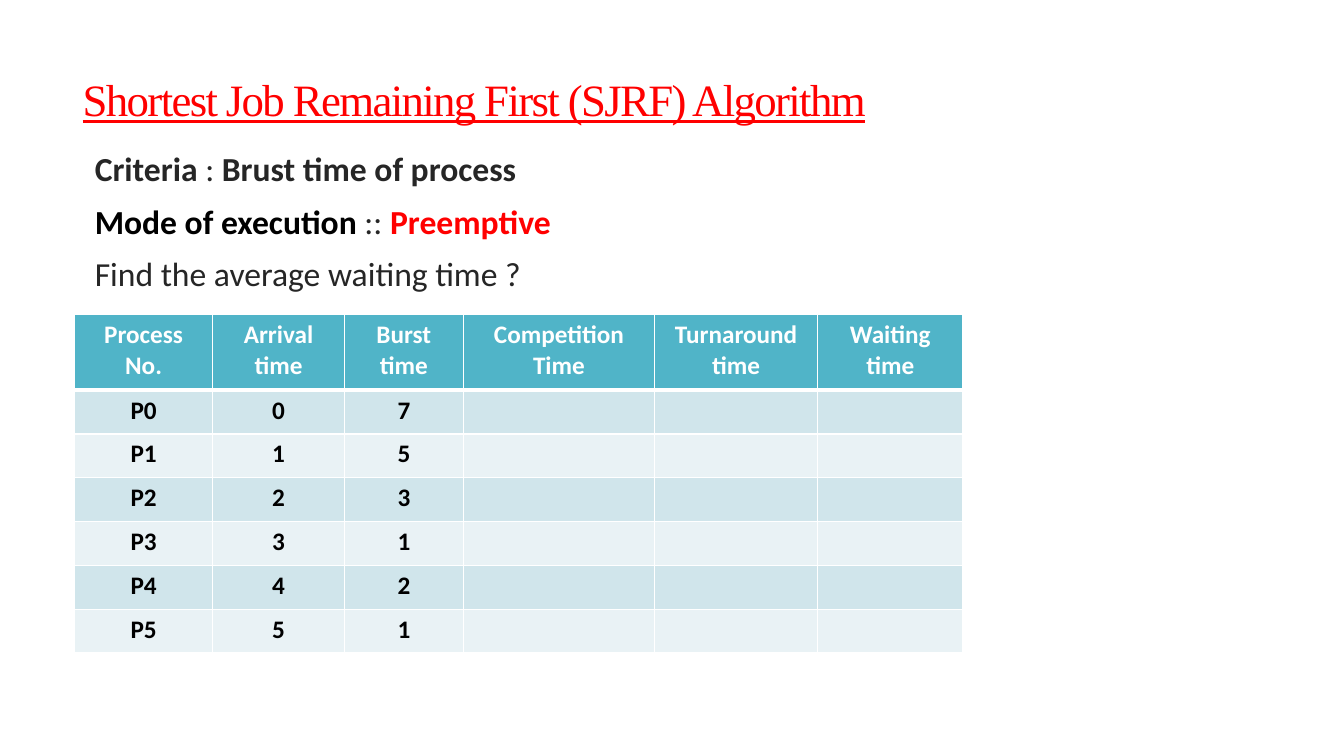
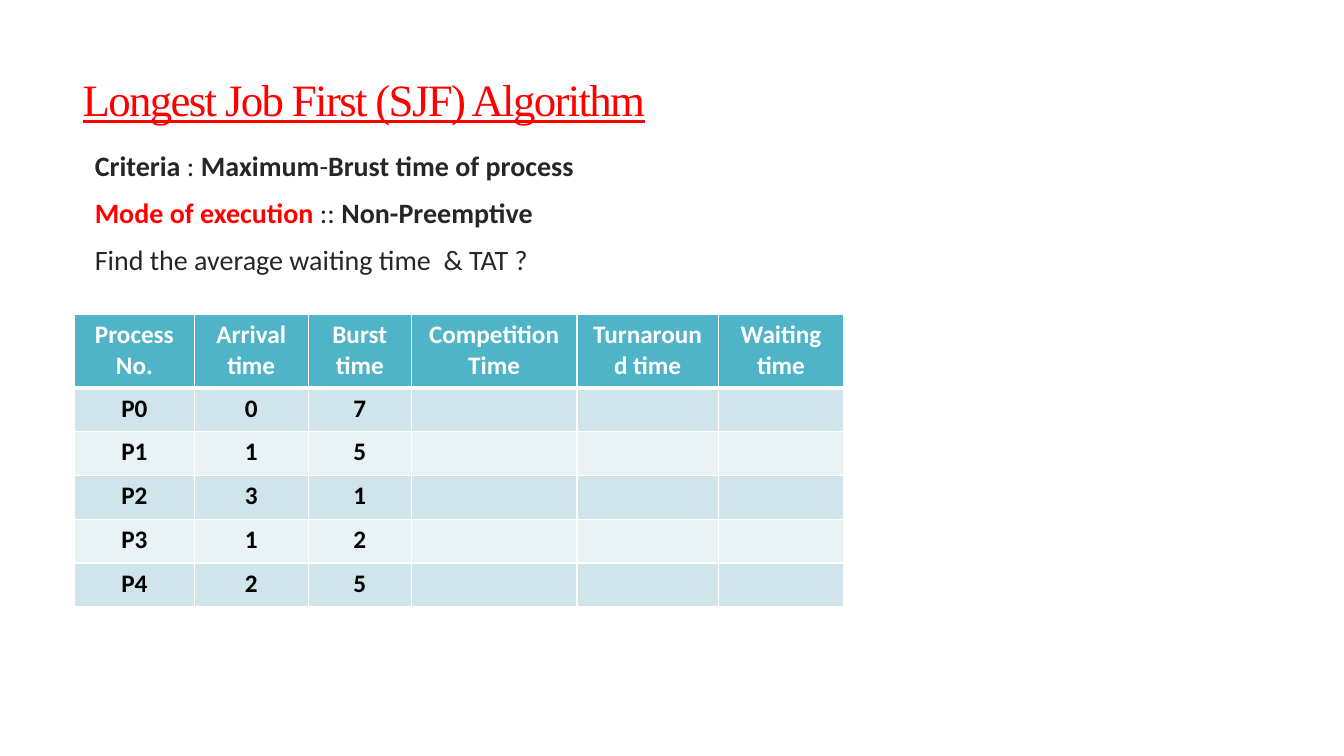
from lxml.etree import SubElement
from pptx import Presentation
from pptx.dml.color import RGBColor
from pptx.enum.text import MSO_ANCHOR, MSO_AUTO_SIZE, PP_ALIGN
from pptx.oxml.ns import qn
from pptx.util import Inches, Pt

COLORS = {
    "red": "FF0000",
    "text": "262626",
    "black": "000000",
    "white": "FFFFFF",
    "header": "50B4C8",
    "band_dark": "D0E5EB",
    "band_light": "E9F2F5",
}
HEADERS = ["Process No.", "Arrival time", "Burst time",
           "Competition Time", "Turnaround time", "Waiting time"]
COLUMN_SHARES = [1.37, 1.31, 1.18, 1.9, 1.62, 1.44]

# Each line of the brief is a list of (wording, bold, color) pieces.
ALGORITHMS = [
    {
        "title": "Shortest Job Remaining First (SJRF) Algorithm",
        "brief_size": 24,
        "brief": [
            [("Criteria", True, "text"), (" : ", False, "text"),
             ("Brust time of process", True, "text")],
            [("Mode of execution ", True, "black"), (":: ", False, "text"),
             ("Preemptive", True, "red")],
            [("Find the average waiting time ?", False, "text")],
        ],
        "table_size": (8.81, 3.36),
        "header_height": 0.75,
        "processes": [("P0", 0, 7), ("P1", 1, 5), ("P2", 2, 3),
                      ("P3", 3, 1), ("P4", 4, 2), ("P5", 5, 1)],
    },
    {
        "title": "Longest Job First (SJF) Algorithm",
        "brief_size": 20,
        "brief": [
            [("Criteria", True, "text"), (" : ", False, "text"),
             ("Maximum", True, "text"), ("-", False, "text"),
             ("Brust time of process", True, "text")],
            [("Mode of execution ", True, "red"), (":: ", False, "text"),
             ("Non-Preemptive", True, "text")],
            [("Find the average waiting time  & TAT ?", False, "text")],
        ],
        "table_size": (7.63, 2.9),
        "header_height": 0.73,
        "processes": [("P0", 0, 7), ("P1", 1, 5), ("P2", 3, 1),
                      ("P3", 1, 2), ("P4", 2, 5)],
    },
]


def format_run(run, size, color, bold=False, font="Calibri"):
    run.font.name = font
    run.font.size = Pt(size)
    run.font.bold = bold
    run.font.color.rgb = RGBColor.from_string(COLORS[color])


def format_cell(cell, row_index):
    """Draw white borders, then fill the cell by its row and format its text."""
    properties = cell._tc.get_or_add_tcPr()
    for side in "LRTB":
        under_header = (row_index, side) in [(0, "B"), (1, "T")]
        border = SubElement(properties, qn(f"a:ln{side}"),
                            w=str(Pt(3 if under_header else 1)))
        border_fill = SubElement(border, qn("a:solidFill"))
        SubElement(border_fill, qn("a:srgbClr"), val=COLORS["white"])

    band = "band_dark" if row_index % 2 else "band_light"
    cell.fill.solid()
    cell.fill.fore_color.rgb = RGBColor.from_string(
        COLORS[band if row_index else "header"])
    paragraph = cell.text_frame.paragraphs[0]
    paragraph.alignment = PP_ALIGN.CENTER
    for run in paragraph.runs:
        format_run(run, 18, "black" if row_index else "white", bold=True)


prs = Presentation()
prs.slide_width = Inches(13.33)
prs.slide_height = Inches(7.5)

for algorithm in ALGORITHMS:
    slide = prs.slides.add_slide(prs.slide_layouts[5])

    title = slide.shapes.title
    title.left, title.top = Inches(0.72), Inches(0.55)
    title.width, title.height = Inches(11.78), Inches(0.94)
    title.text_frame.text = algorithm["title"]
    title.text_frame.auto_size = MSO_AUTO_SIZE.NONE
    title.text_frame.vertical_anchor = MSO_ANCHOR.MIDDLE
    heading = title.text_frame.paragraphs[0]
    heading.alignment = PP_ALIGN.LEFT
    heading.line_spacing = 0.85
    heading_run = heading.runs[0]
    format_run(heading_run, 32, "red", font="Times New Roman")
    heading_run.font.underline = True
    heading_run._r.get_or_add_rPr().set("spc", "-120")

    brief = slide.shapes.add_textbox(
        Inches(0.74), Inches(1.48), Inches(11.76), Inches(5.47)).text_frame
    brief.word_wrap = True
    brief.margin_left = Inches(0.2)
    for line_index, pieces in enumerate(algorithm["brief"]):
        line = brief.add_paragraph() if line_index else brief.paragraphs[0]
        line.line_spacing = 0.85
        line.space_before = Pt(13)
        for wording, bold, color in pieces:
            run = line.add_run()
            run.text = wording
            format_run(run, algorithm["brief_size"], color, bold)

    rows = [HEADERS] + algorithm["processes"]
    width, height = algorithm["table_size"]
    header_height = algorithm["header_height"]
    schedule = slide.shapes.add_table(
        len(rows), len(HEADERS), Inches(0.74), Inches(3.12),
        Inches(width), Inches(height)).table
    for column, share in zip(schedule.columns, COLUMN_SHARES):
        column.width = Inches(width * share / sum(COLUMN_SHARES))
    for row in schedule.rows:
        row.height = Inches((height - header_height) / (len(rows) - 1))
    schedule.rows[0].height = Inches(header_height)

    for row_index, values in enumerate(rows):
        for column_index, value in enumerate(values):
            schedule.cell(row_index, column_index).text_frame.text = str(value)
        for cell in schedule.rows[row_index].cells:
            format_cell(cell, row_index)

prs.save("out.pptx")
